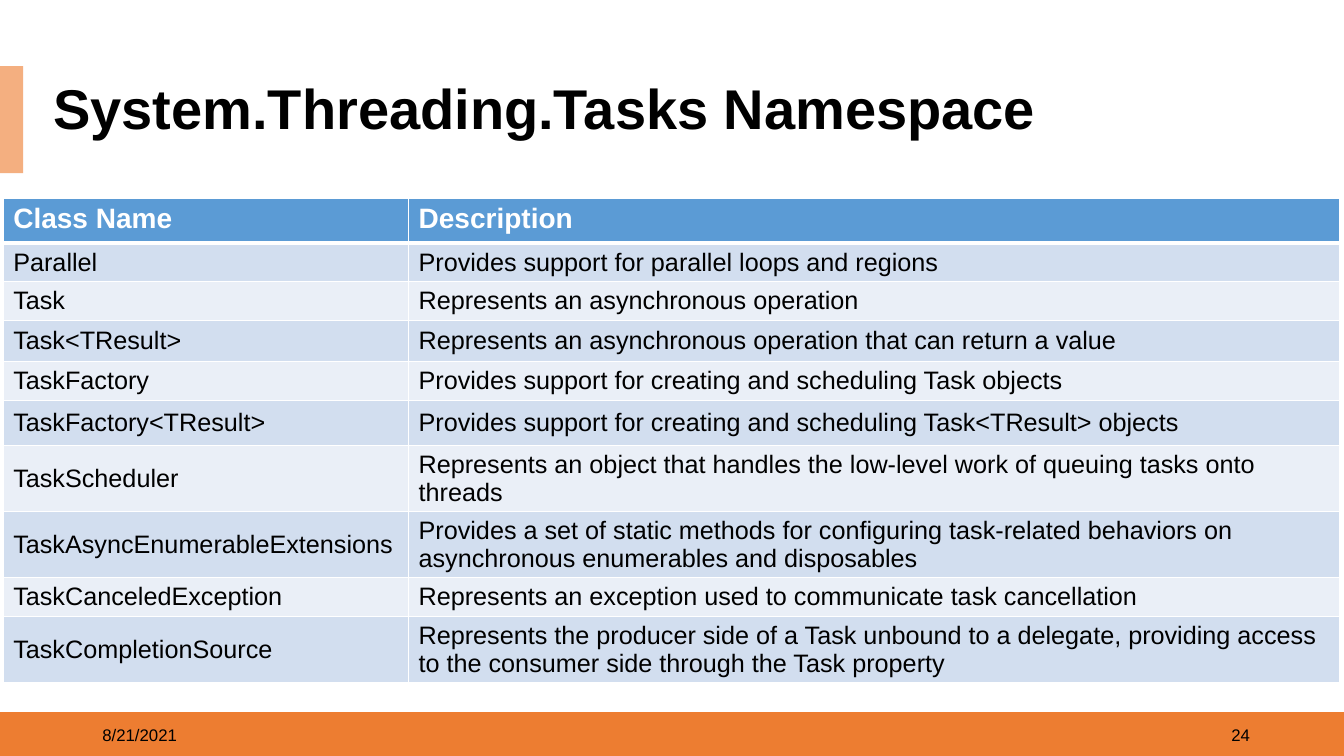
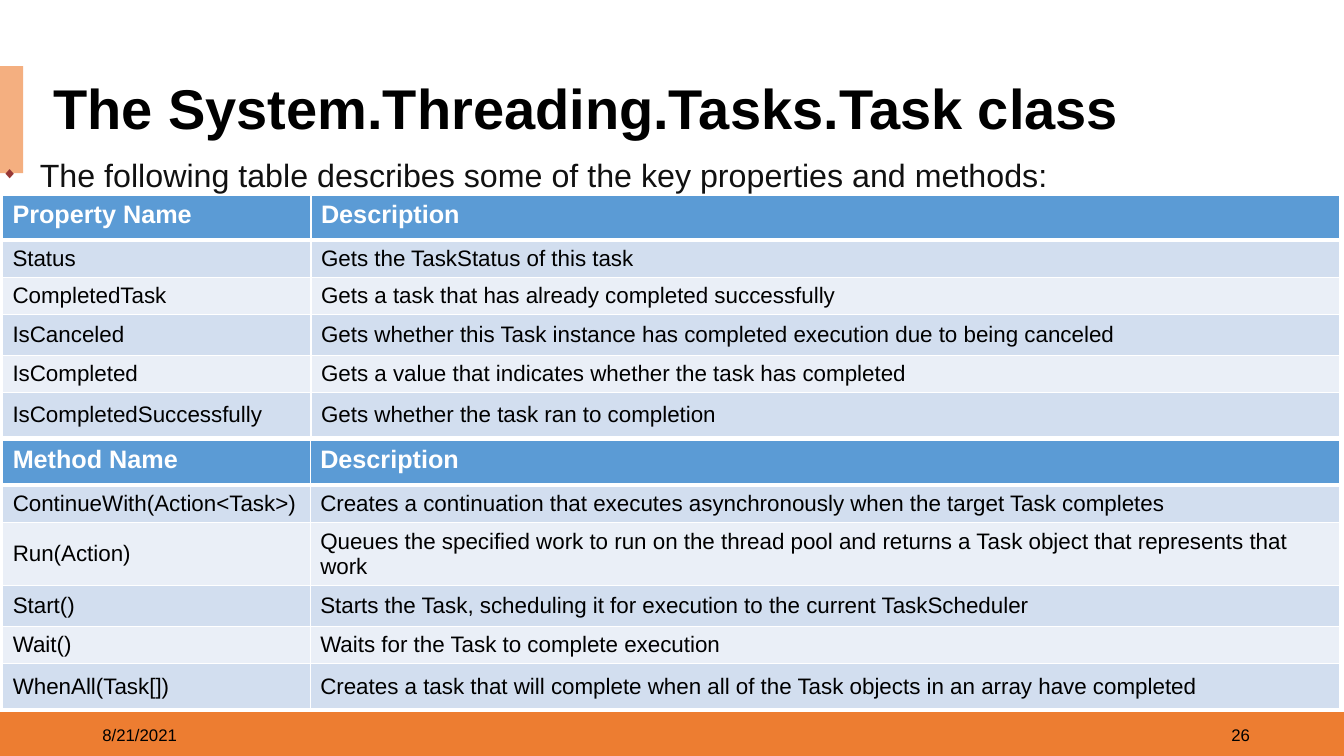
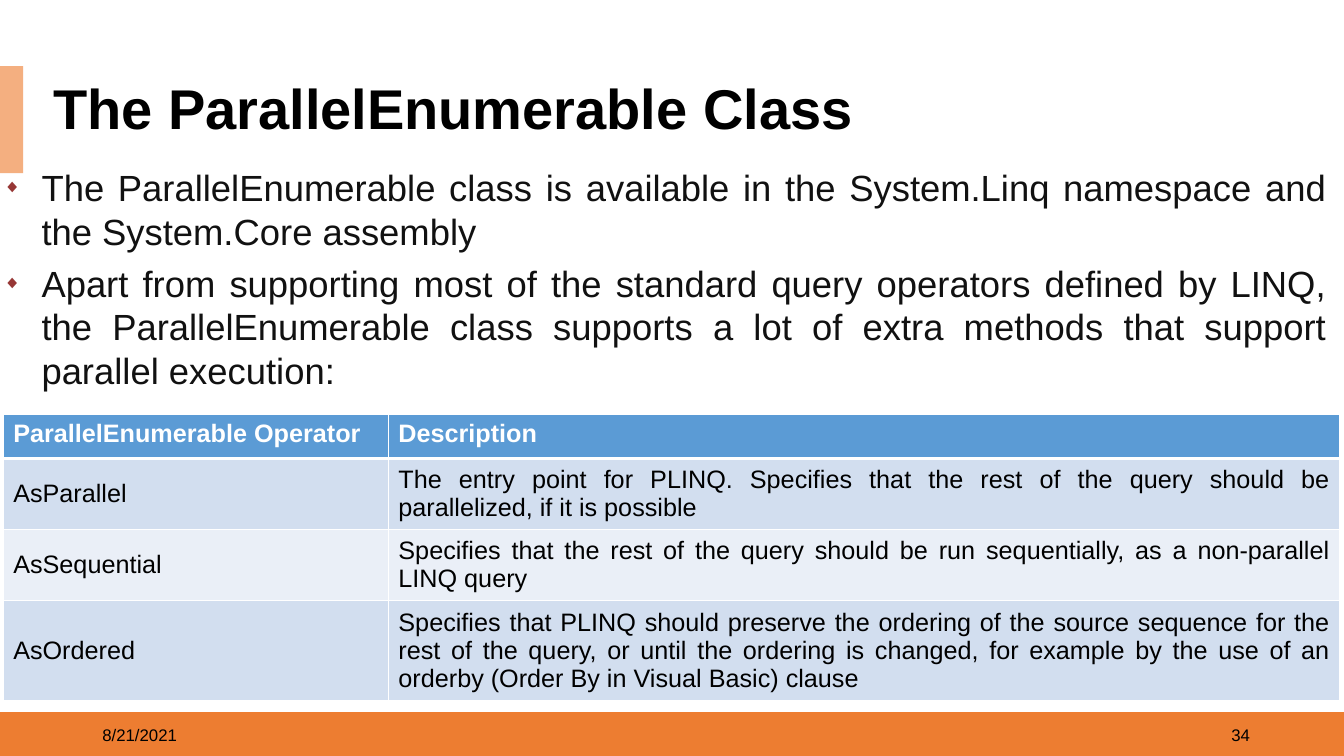
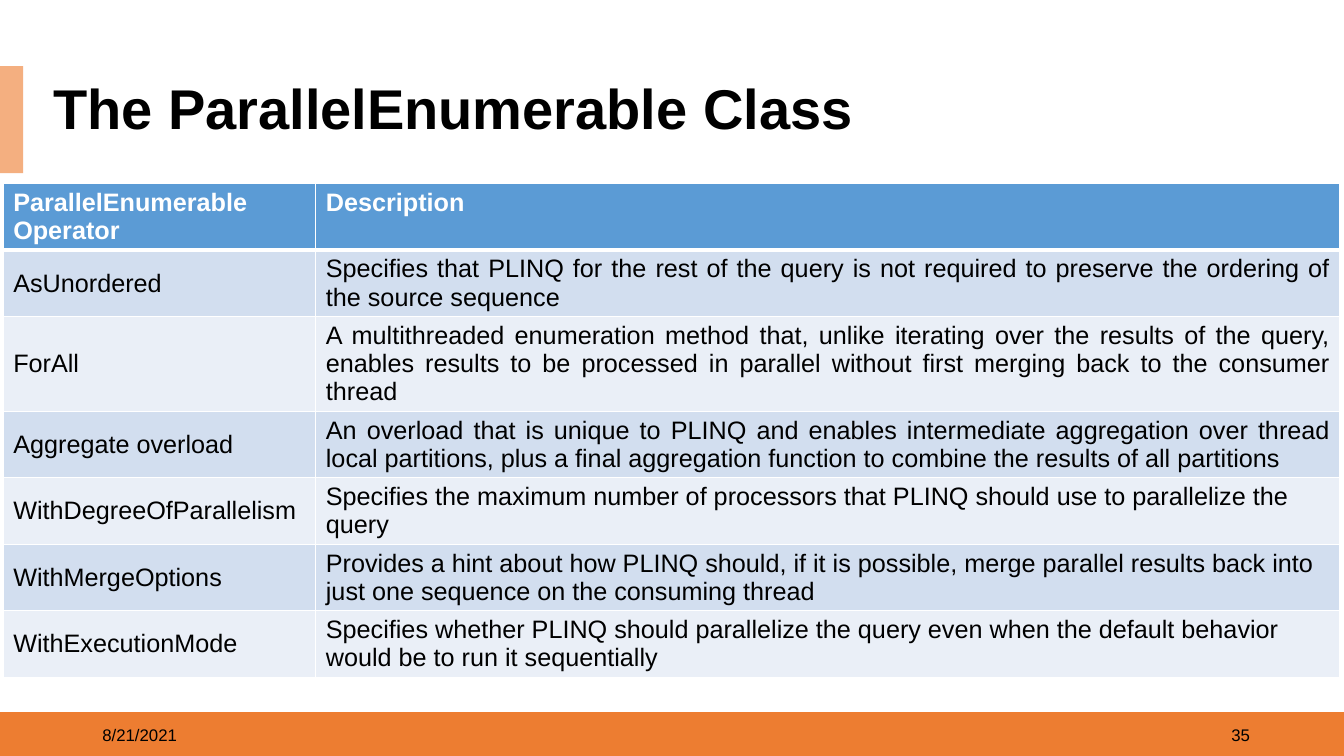
from lxml.etree import SubElement
from pptx import Presentation
from pptx.dml.color import RGBColor
from pptx.enum.shapes import MSO_SHAPE as Shape
from pptx.enum.text import MSO_ANCHOR as Anchor, PP_ALIGN as Align
from pptx.oxml.ns import qn
from pptx.util import Inches, Pt

WIDTH, HEIGHT = Inches(13.33), Inches(7.5)
FONT = "Arial"
DATE = "8/21/2021"

BLACK = RGBColor(0x00, 0x00, 0x00)
WHITE = RGBColor(0xFF, 0xFF, 0xFF)
INK = RGBColor(0x11, 0x11, 0x11)
ORANGE = RGBColor(0xED, 0x7D, 0x31)
PEACH = RGBColor(0xF4, 0xAF, 0x80)
HEADER_BLUE = RGBColor(0x5B, 0x9B, 0xD5)
ROW_BLUES = (RGBColor(0xD2, 0xDE, 0xEF), RGBColor(0xEA, 0xEF, 0xF7))
BULLET_RED = RGBColor(0x97, 0x37, 0x35)

# Boxes are left, top, width, height in percent of the slide.
FOOTER_BAND = (0, 94.2, 100, 5.8)
TITLE_ACCENT = (0, 8.75, 1.73, 14.15)
DATE_BOX = (6.88, 94.53, 22.5, 5.33)
NUMBER_BOX = (71.25, 94.53, 22.5, 5.33)
TITLE_BOX = (3.23, 10.53, 94.35, 8.4)
TABLE_WIDTH = 99.47

# Each row holds its height in percent of the slide, then its two cells.
NAMESPACE_ROWS = [
    (5.87, "Class Name", "Description"),
    (5.13, "Parallel", "Provides support for parallel loops and regions"),
    (5.13, "Task", "Represents an asynchronous operation"),
    (5.42, "Task<TResult>", "Represents an asynchronous operation that can return a value"),
    (5.13, "TaskFactory", "Provides support for creating and scheduling Task objects"),
    (6, "TaskFactory<TResult>",
     "Provides support for creating and scheduling Task<TResult> objects"),
    (8.75, "TaskScheduler",
     "Represents an object that handles the low-level work of queuing tasks onto threads"),
    (8.75, "TaskAsyncEnumerableExtensions",
     "Provides a set of static methods for configuring task-related behaviors on "
     "asynchronous enumerables and disposables"),
    (5.13, "TaskCanceledException",
     "Represents an exception used to communicate task cancellation"),
    (8.75, "TaskCompletionSource",
     "Represents the producer side of a Task unbound to a delegate, providing access "
     "to the consumer side through the Task property"),
]
PROPERTY_ROWS = [
    (5.87, "Property Name", "Description"),
    (4.93, "Status", "Gets the TaskStatus of this task"),
    (4.93, "CompletedTask", "Gets a task that has already completed successfully"),
    (5.42, "IsCanceled",
     "Gets whether this Task instance has completed execution due to being canceled"),
    (4.93, "IsCompleted", "Gets a value that indicates whether the task has completed"),
    (5.87, "IsCompletedSuccessfully", "Gets whether the task ran to completion"),
]
METHOD_ROWS = [
    (5.87, "Method Name", "Description"),
    (4.93, "ContinueWith(Action<Task>)",
     "Creates a continuation that executes asynchronously when the target Task completes"),
    (8.4, "Run(Action)",
     "Queues the specified work to run on the thread pool and returns a Task object "
     "that represents that work"),
    (5.42, "Start()",
     "Starts the Task, scheduling it for execution to the current TaskScheduler"),
    (4.93, "Wait()", "Waits for the Task to complete execution"),
    (5.95, "WhenAll(Task[])",
     "Creates a task that will complete when all of the Task objects in an array "
     "have completed"),
]
ORDERED_ROWS = [
    (5.87, "ParallelEnumerable Operator", "Description"),
    (9.37, "AsParallel",
     "The entry point for PLINQ. Specifies that the rest of the query should be "
     "parallelized, if it is possible"),
    (9.37, "AsSequential",
     "Specifies that the rest of the query should be run sequentially, as a "
     "non-parallel LINQ query"),
    (13.3, "AsOrdered",
     "Specifies that PLINQ should preserve the ordering of the source sequence for the "
     "rest of the query, or until the ordering is changed, for example by the use of an "
     "orderby (Order By in Visual Basic) clause"),
]
EXECUTION_ROWS = [
    (8.8, "ParallelEnumerable Operator", "Description"),
    (8.8, "AsUnordered",
     "Specifies that PLINQ for the rest of the query is not required to preserve the "
     "ordering of the source sequence"),
    (12.5, "ForAll",
     "A multithreaded enumeration method that, unlike iterating over the results of the "
     "query, enables results to be processed in parallel without first merging back to "
     "the consumer thread"),
    (8.8, "Aggregate overload",
     "An overload that is unique to PLINQ and enables intermediate aggregation over "
     "thread local partitions, plus a final aggregation function to combine the results "
     "of all partitions"),
    (8.8, "WithDegreeOfParallelism",
     "Specifies the maximum number of processors that PLINQ should use to parallelize "
     "the query"),
    (8.8, "WithMergeOptions",
     "Provides a hint about how PLINQ should, if it is possible, merge parallel results "
     "back into just one sequence on the consuming thread"),
    (8.8, "WithExecutionMode",
     "Specifies whether PLINQ should parallelize the query even when the default "
     "behavior would be to run it sequentially"),
]


def across(percent):
    return round(WIDTH * percent / 100)


def down(percent):
    return round(HEIGHT * percent / 100)


def place(box):
    left, top, width, height = box
    return across(left), down(top), across(width), down(height)


def write(paragraph, text, size, color, bold=False, align=Align.LEFT):
    paragraph.alignment = align
    run = paragraph.add_run()
    run.text = text
    font = run.font
    font.name, font.size, font.bold = FONT, Pt(size), bold
    font.color.rgb = color


def add_band(slide, box, color):
    band = slide.shapes.add_shape(Shape.RECTANGLE, *place(box))
    band.shadow.inherit = False
    band.fill.solid()
    band.fill.fore_color.rgb = color
    band.line.fill.background()


def add_label(slide, box, text, size, **style):
    label = slide.shapes.add_textbox(*place(box))
    label.text_frame.word_wrap = True
    label.text_frame.vertical_anchor = Anchor.MIDDLE
    write(label.text_frame.paragraphs[0], text, size, BLACK, **style)
    return label


def add_base(deck, title, number):
    """Add a slide with the bands, footer and title that all slides share."""
    slide = deck.slides.add_slide(deck.slide_layouts[6])
    add_band(slide, FOOTER_BAND, ORANGE)
    add_band(slide, TITLE_ACCENT, PEACH)
    add_label(slide, DATE_BOX, DATE, 12)
    add_label(slide, NUMBER_BOX, str(number), 12, align=Align.RIGHT)
    heading = add_label(slide, TITLE_BOX, title, 40, bold=True)
    heading.fill.solid()
    heading.fill.fore_color.rgb = WHITE
    heading.text_frame.paragraphs[0].line_spacing = 0.9
    return slide


def set_diamond_bullet(paragraph):
    properties = paragraph._p.get_or_add_pPr()
    indent = Inches(0.38)
    properties.set("marL", str(indent))
    properties.set("indent", str(-indent))
    color = SubElement(properties, qn("a:buClr"))
    SubElement(color, qn("a:srgbClr"), val=str(BULLET_RED))
    SubElement(properties, qn("a:buSzPct"), val="50000")
    SubElement(properties, qn("a:buFont"), typeface=FONT)
    SubElement(properties, qn("a:buChar"), char="◆")


def add_bullets(slide, box, points, size, gap=0):
    frame = slide.shapes.add_textbox(*place(box)).text_frame
    frame.word_wrap = True
    for index, point in enumerate(points):
        paragraph = frame.add_paragraph() if index else frame.paragraphs[0]
        paragraph.space_before = paragraph.space_after = Pt(gap)
        write(paragraph, point, size, INK, align=Align.JUSTIFY)
        set_diamond_bullet(paragraph)


def set_borders(cell, widths):
    """Draw white borders; widths maps L, R, T and B, in that order, to points."""
    properties = cell._tc.get_or_add_tcPr()
    for side, width in widths.items():
        line = SubElement(properties, qn(f"a:ln{side}"), w=str(Pt(width)))
        fill = SubElement(line, qn("a:solidFill"))
        SubElement(fill, qn("a:srgbClr"), val=str(WHITE))


def fill_cell(cell, row, text, size, align):
    header = row == 0
    set_borders(cell, {"L": 1, "R": 1, "T": 1, "B": 3} if header
                else {"L": 1, "R": 1, "B": 1})
    cell.fill.solid()
    cell.fill.fore_color.rgb = HEADER_BLUE if header else ROW_BLUES[(row - 1) % 2]
    cell.vertical_anchor = Anchor.TOP if header else Anchor.MIDDLE
    cell.margin_top = Inches(0.05 if header else 0.02)
    cell.margin_bottom = Inches(0 if header else 0.02)
    write(cell.text_frame.paragraphs[0], text, size,
          WHITE if header else BLACK, bold=header, align=align)


def add_reference(slide, top, name_width, rows, left=0.24,
                  header_size=18, body_size=18, justified=0):
    """Add a name and description table, justifying the first descriptions."""
    box = (left, top, TABLE_WIDTH, sum(height for height, *_ in rows))
    table = slide.shapes.add_table(len(rows), 2, *place(box)).table
    for column, width in zip(table.columns, (name_width, TABLE_WIDTH - name_width)):
        column.width = across(width)
    for row, (height, *texts) in enumerate(rows):
        table.rows[row].height = down(height)
        for column, text in enumerate(texts):
            spread = column == 1 and 1 <= row <= justified
            fill_cell(table.cell(row, column), row, text,
                      body_size if row else header_size,
                      Align.JUSTIFY if spread else Align.LEFT)


def add_namespace_slide(deck):
    slide = add_base(deck, "System.Threading.Tasks Namespace", 24)
    add_reference(slide, 26.27, 30.16, NAMESPACE_ROWS, header_size=20)


def add_task_slide(deck):
    slide = add_base(deck, "The System.Threading.Tasks.Task class", 26)
    add_bullets(slide, (-0.62, 19.87, 89.65, 6.53), [
        "The following table describes some of the key properties and methods:"], 23)
    add_reference(slide, 25.87, 22.96, PROPERTY_ROWS, left=0.18, body_size=16)
    add_reference(slide, 58.27, 22.88, METHOD_ROWS, left=0.2, body_size=16)


def add_ordered_slide(deck):
    slide = add_base(deck, "The ParallelEnumerable Class", 34)
    add_bullets(slide, (-0.5, 21.2, 100.08, 31.6), [
        "The ParallelEnumerable class is available in the System.Linq namespace and "
        "the System.Core assembly",
        "Apart from supporting most of the standard query operators defined by LINQ, "
        "the ParallelEnumerable class supports a lot of extra methods that support "
        "parallel execution:"], 26, gap=3)
    add_reference(slide, 54.8, 28.66, ORDERED_ROWS, justified=3)


def add_execution_slide(deck):
    slide = add_base(deck, "The ParallelEnumerable Class", 35)
    add_reference(slide, 24.27, 23.26, EXECUTION_ROWS, justified=3)


def main():
    deck = Presentation()
    deck.slide_width, deck.slide_height = WIDTH, HEIGHT
    add_namespace_slide(deck)
    add_task_slide(deck)
    add_ordered_slide(deck)
    add_execution_slide(deck)
    deck.save("out.pptx")


if __name__ == "__main__":
    main()
